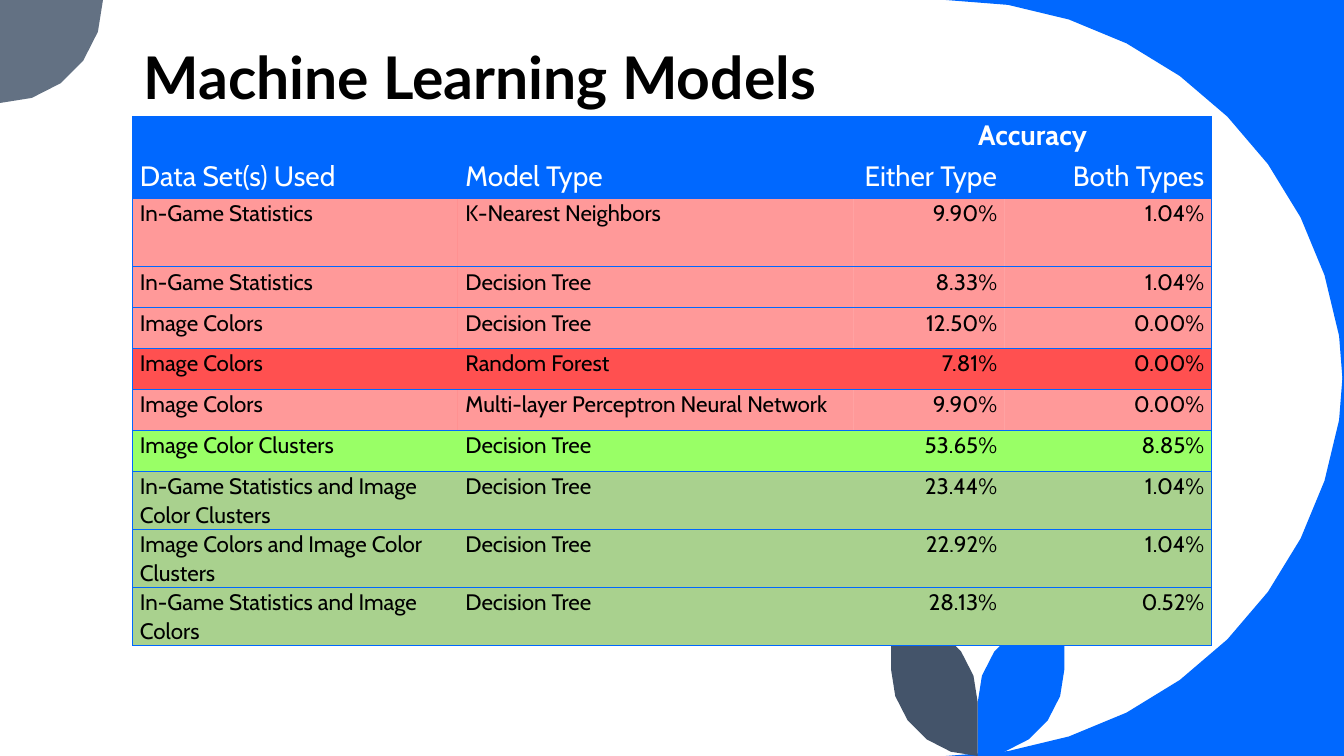
from dataclasses import dataclass
from math import cos, radians, sin

from lxml import etree
from pptx import Presentation
from pptx.dml.color import RGBColor
from pptx.enum.text import MSO_ANCHOR, PP_ALIGN
from pptx.oxml.ns import qn
from pptx.slide import Slide
from pptx.table import Table, _Cell
from pptx.util import Pt

LEFT, CENTER, RIGHT = PP_ALIGN.LEFT, PP_ALIGN.CENTER, PP_ALIGN.RIGHT
BOTTOM = MSO_ANCHOR.BOTTOM

COLORS = {
    "blue": "0068FF",
    "slate": "637183",
    "navy": "44546A",
    "white": "FFFFFF",
    "black": "000000",
    "poor": "FF0000",
    "worst": "FF5050",
    "best": "99FF66",
    "good": "A9D18E",
}
ALPHA = {"poor": 40}

PAGE_WIDTH, PAGE_HEIGHT = 960, 540
SWEEP_RADIUS = 284.4
SWEEP_X = PAGE_WIDTH - SWEEP_RADIUS
SWEEP_STEPS, SMALL_STEPS = 10, 5
LEAF_RADIUS = 61.9
STEM_X = 698.4
LEAF_LOW = PAGE_HEIGHT - LEAF_RADIUS
LEAF_HIGH = 501.8

TABLE_LEFT, TABLE_TOP = 94.6, 83
COLUMN_WIDTHS = (232.5, 282.5, 108, 148)
COLUMN_ALIGNMENTS = (LEFT, LEFT, RIGHT, RIGHT)
HEADINGS = ("Data Set(s) Used", "Model Type", "Either Type", "Both Types")
ROW_HEIGHT, TALL_ROW, TWO_LINE_ROW = 29.2, 49.2, 41.4


@dataclass(frozen=True)
class Arc:
    x: float
    y: float
    radius: float
    start: float
    end: float
    steps: int = SMALL_STEPS

    def points(self) -> list[tuple[float, float]]:
        step = (self.end - self.start) / self.steps
        angles = [radians(self.start + step * i) for i in range(self.steps + 1)]
        return [(self.x + self.radius * cos(a), self.y + self.radius * sin(a)) for a in angles]


@dataclass(frozen=True)
class Outline:
    color: str
    arcs: tuple[Arc, ...]
    corners: tuple[tuple[float, float], ...] = ()


@dataclass(frozen=True)
class Model:
    data: str
    kind: str
    either: str
    both: str
    rating: str
    height: float = ROW_HEIGHT


OUTLINES = (
    Outline("blue", (Arc(SWEEP_X, SWEEP_RADIUS, SWEEP_RADIUS, -90, 0, SWEEP_STEPS),),
            ((PAGE_WIDTH, 0),)),
    Outline("blue", (Arc(SWEEP_X, PAGE_HEIGHT - SWEEP_RADIUS, SWEEP_RADIUS, 0, 90, SWEEP_STEPS),),
            ((PAGE_WIDTH, PAGE_HEIGHT),)),
    Outline("slate", (Arc(0, 0, 73.6, 0, 90),), ((0, 0),)),
    Outline("blue", (Arc(STEM_X, LEAF_LOW, LEAF_RADIUS, 0, 90),
                     Arc(STEM_X + LEAF_RADIUS, LEAF_HIGH, LEAF_RADIUS, 180, 270))),
    Outline("navy", (Arc(STEM_X, LEAF_LOW, LEAF_RADIUS, 180, 90),
                     Arc(STEM_X - LEAF_RADIUS, LEAF_HIGH, LEAF_RADIUS, 0, -90))),
)

MODELS = (
    Model("In-Game Statistics", "K-Nearest Neighbors", "9.90%", "1.04%", "poor", TALL_ROW),
    Model("In-Game Statistics", "Decision Tree", "8.33%", "1.04%", "poor"),
    Model("Image Colors", "Decision Tree", "12.50%", "0.00%", "poor"),
    Model("Image Colors", "Random Forest", "7.81%", "0.00%", "worst"),
    Model("Image Colors", "Multi-layer Perceptron Neural Network", "9.90%", "0.00%", "poor"),
    Model("Image Color Clusters", "Decision Tree", "53.65%", "8.85%", "best"),
    Model("In-Game Statistics and Image Color Clusters", "Decision Tree", "23.44%", "1.04%",
          "good", TWO_LINE_ROW),
    Model("Image Colors and Image Color Clusters", "Decision Tree", "22.92%", "1.04%",
          "good", TWO_LINE_ROW),
    Model("In-Game Statistics and Image Colors", "Decision Tree", "28.13%", "0.52%",
          "good", TWO_LINE_ROW),
)


def rgb(name: str) -> RGBColor:
    return RGBColor.from_string(COLORS[name])


def draw_outline(page: Slide, outline: Outline) -> None:
    points = [point for arc in outline.arcs for point in arc.points()]
    first, *rest = [(Pt(x), Pt(y)) for x, y in (*points, *outline.corners)]
    builder = page.shapes.build_freeform(*first)
    builder.add_line_segments(rest, close=True)
    shape = builder.convert_to_shape()
    shape.shadow.inherit = False
    shape.fill.solid()
    shape.fill.fore_color.rgb = rgb(outline.color)
    shape.line.fill.background()


def draw_title(page: Slide, text: str) -> None:
    box = page.shapes.add_textbox(Pt(95.4), Pt(18.7), Pt(769.7), Pt(64.1))
    frame = box.text_frame
    frame.word_wrap = True
    frame.vertical_anchor = BOTTOM
    frame.text = text
    para = frame.paragraphs[0]
    para.line_spacing = 0.8
    font = para.runs[0].font
    font.name, font.size, font.bold = "Lato", Pt(42), True
    font.color.rgb = rgb("black")


def set_borders(cell: _Cell, visible: str) -> None:
    properties = cell._tc.get_or_add_tcPr()
    for side in "LRTB":
        line = etree.SubElement(properties, qn(f"a:ln{side}"), w=str(Pt(0.5)))
        if side in visible:
            fill = etree.SubElement(line, qn("a:solidFill"))
            etree.SubElement(fill, qn("a:srgbClr"), val=COLORS["blue"])
        else:
            etree.SubElement(line, qn("a:noFill"))


def fill_cell(cell: _Cell, color: str) -> None:
    cell.fill.solid()
    cell.fill.fore_color.rgb = rgb(color)
    if color in ALPHA:
        tint = cell._tc.tcPr.find(qn("a:solidFill")).find(qn("a:srgbClr"))
        etree.SubElement(tint, qn("a:alpha"), val=str(ALPHA[color] * 1000))


def write_cell(cell: _Cell, text: str, alignment: PP_ALIGN, size: float, color: str,
               bold: bool = False) -> None:
    cell.margin_left = cell.margin_right = Pt(5.4)
    cell.margin_top = cell.margin_bottom = 0
    cell.text_frame.text = text
    para = cell.text_frame.paragraphs[0]
    para.alignment = alignment
    para.line_spacing = 1.07
    para.space_after = Pt(8)
    for span in para.runs:
        span.font.name, span.font.size, span.font.bold = "Cabin", Pt(size), bold
        span.font.color.rgb = rgb(color)


def paint_row(table: Table, row: int, fill: str) -> None:
    for column in range(len(COLUMN_WIDTHS)):
        cell = table.cell(row, column)
        left = "L" if column == 0 else ""
        right = "R" if column + cell.span_width >= len(COLUMN_WIDTHS) else ""
        set_borders(cell, f"TB{left}{right}")
        fill_cell(cell, fill)


def write_row(table: Table, row: int, texts: tuple[str, ...], size: float, color: str) -> None:
    for column, (text, alignment) in enumerate(zip(texts, COLUMN_ALIGNMENTS)):
        write_cell(table.cell(row, column), text, alignment, size, color)


def draw_table(page: Slide) -> None:
    heights = [ROW_HEIGHT, ROW_HEIGHT, *(model.height for model in MODELS)]
    table = page.shapes.add_table(len(heights), len(COLUMN_WIDTHS), Pt(TABLE_LEFT), Pt(TABLE_TOP),
                                  Pt(sum(COLUMN_WIDTHS)), Pt(sum(heights))).table
    table.first_row = table.horz_banding = False
    for column, width in zip(table.columns, COLUMN_WIDTHS):
        column.width = Pt(width)
    for row, height in zip(table.rows, heights):
        row.height = Pt(height)
    accuracy = table.cell(0, 2)
    accuracy.merge(table.cell(0, 3))
    fills = ["blue", "blue", *(model.rating for model in MODELS)]
    for row, fill in enumerate(fills):
        paint_row(table, row, fill)
    write_cell(accuracy, "Accuracy", CENTER, 20, "white", bold=True)
    write_row(table, 1, HEADINGS, 20, "white")
    for row, model in enumerate(MODELS, start=2):
        texts = (model.data, model.kind, model.either, model.both)
        write_row(table, row, texts, 16, "black")


def main() -> None:
    deck = Presentation()
    deck.slide_width, deck.slide_height = Pt(PAGE_WIDTH), Pt(PAGE_HEIGHT)
    page = deck.slides.add_slide(deck.slide_layouts[6])
    for outline in OUTLINES:
        draw_outline(page, outline)
    draw_title(page, "Machine Learning Models")
    draw_table(page)
    deck.save("out.pptx")


if __name__ == "__main__":
    main()
